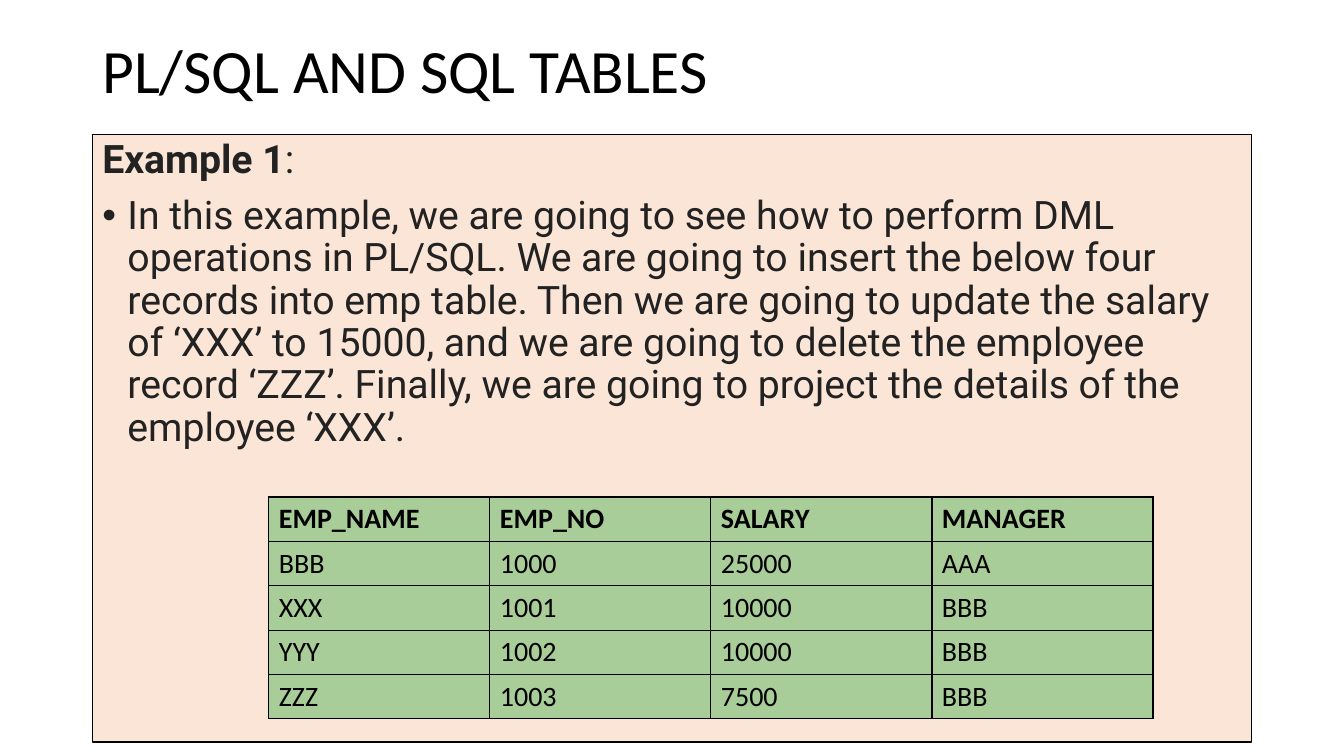
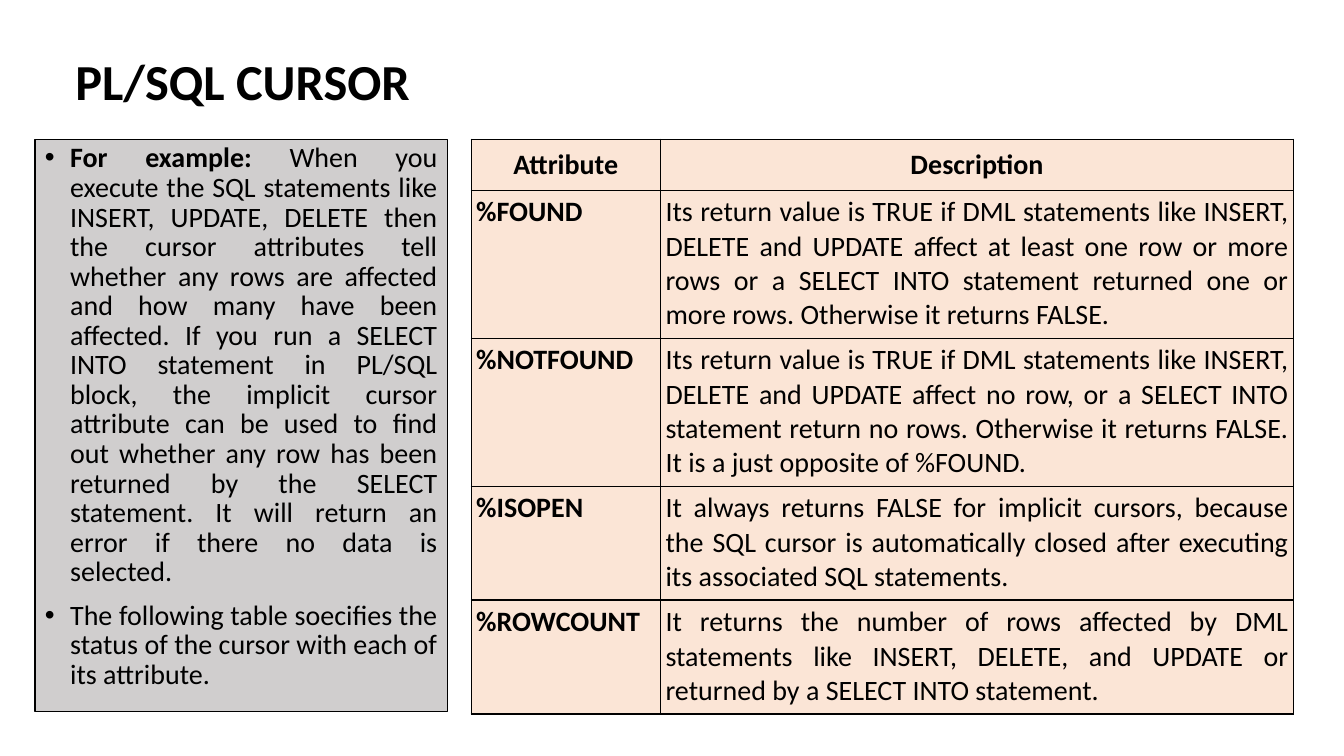
from dataclasses import dataclass

from lxml.etree import SubElement
from pptx import Presentation
from pptx.dml.color import RGBColor as RGB
from pptx.enum.shapes import MSO_SHAPE as SHAPE
from pptx.enum.text import MSO_ANCHOR as ANCHOR, PP_ALIGN as ALIGN
from pptx.oxml import parse_xml
from pptx.oxml.ns import nsdecls, qn
from pptx.util import Pt


@dataclass(frozen=True)
class Theme:
    ink: RGB = RGB(0, 0, 0)
    soft_ink: RGB = RGB(0x22, 0x22, 0x22)
    peach: RGB = RGB(0xFB, 0xE5, 0xD6)
    grey: RGB = RGB(0xD0, 0xCE, 0xCE)
    green: RGB = RGB(0xA9, 0xCD, 0x98)
    font: str = "Calibri"
    example_font: str = "Roboto"
    title: int = 44
    small_title: int = 36
    example: int = 28
    text: int = 20
    bullet_indent: int = 18
    space_before: int = 10
    line_spacing: float = 0.9


T = Theme()


def add_run(p, text, size, bold=False, font=T.font, color=T.ink):
    r = p.add_run()
    r.text = text
    r.font.size, r.font.bold, r.font.name = Pt(size), bold, font
    r.font.color.rgb = color


def add_bullet(p):
    pPr = p._p.get_or_add_pPr()
    pPr.set("marL", str(Pt(T.bullet_indent)))
    pPr.set("indent", str(-Pt(T.bullet_indent)))
    SubElement(pPr, qn("a:buFont")).set("typeface", "Arial")
    SubElement(pPr, qn("a:buChar")).set("char", "•")


def add_title(s, box, text, size, bold=False):
    tf = s.shapes.add_textbox(*map(Pt, box)).text_frame
    tf.word_wrap = True
    tf.vertical_anchor = ANCHOR.MIDDLE
    p = tf.paragraphs[0]
    p.line_spacing = T.line_spacing
    add_run(p, text, size, bold)


def add_panel(s, box, fill, paragraphs, align=ALIGN.LEFT,
              spacing=T.line_spacing, **style):
    """Outlined box; each paragraph is (bulleted, [(text, bold), ...])."""
    sp = s.shapes.add_shape(SHAPE.RECTANGLE, *map(Pt, box))
    sp.shadow.inherit = False
    sp.fill.solid()
    sp.fill.fore_color.rgb = fill
    sp.line.color.rgb = T.ink
    sp.line.width = Pt(0.75)
    tf = sp.text_frame
    tf.word_wrap = True
    tf.vertical_anchor = ANCHOR.TOP
    for i, (bulleted, runs) in enumerate(paragraphs):
        p = tf.add_paragraph() if i else tf.paragraphs[0]
        p.alignment = align
        p.line_spacing = spacing
        p.space_before = Pt(T.space_before)
        if bulleted:
            add_bullet(p)
        for text, bold in runs:
            add_run(p, text, bold=bold, **style)


def style_cell(cell, fill):
    cell.fill.solid()
    cell.fill.fore_color.rgb = fill
    tcPr = cell._tc.get_or_add_tcPr()
    for i, side in enumerate("LRTB"):
        tcPr.insert(i, parse_xml(
            f'<a:ln{side} {nsdecls("a")} w="{Pt(1)}"><a:solidFill>'
            f'<a:srgbClr val="{T.ink}"/></a:solidFill></a:ln{side}>'))


def add_grid(s, left, top, widths, heights, rows, fill, format_cell):
    """Bordered table; format_cell(cell, row, col) sets layout, returns bold."""
    table = s.shapes.add_table(
        len(rows), len(widths), Pt(left), Pt(top),
        Pt(sum(widths)), Pt(sum(heights))).table
    table.first_row = table.horz_banding = False
    for col, width in zip(table.columns, widths):
        col.width = Pt(width)
    for row, height in zip(table.rows, heights):
        row.height = Pt(height)
    for i, values in enumerate(rows):
        for j, text in enumerate(values):
            cell = table.cell(i, j)
            style_cell(cell, fill)
            bold = format_cell(cell, i, j)
            add_run(cell.text_frame.paragraphs[0], text, T.text, bold)


def format_employee(cell, row, col):
    cell.vertical_anchor = ANCHOR.MIDDLE
    return row == 0


def format_attribute(cell, row, col):
    inset = Pt(3.6 if row else 5.76)
    cell.margin_left = cell.margin_right = inset
    cell.margin_top = cell.margin_bottom = inset
    cell.text_frame.paragraphs[0].alignment = ALIGN.JUSTIFY if row else ALIGN.CENTER
    return row == 0 or col == 0


EXAMPLE = [
    (False, [("Example 1", True), (":", False)]),
    (True, [("In this example, we are going to see how to perform DML operations "
             "in PL/SQL. We are going to insert the below four records into emp "
             "table. Then we are going to update the salary of ‘XXX’ to 15000, and "
             "we are going to delete the employee record ‘ZZZ’. Finally, we are "
             "going to project the details of the employee ‘XXX’.", False)]),
]
EMPLOYEES = [
    ("EMP_NAME", "EMP_NO", "SALARY", "MANAGER"),
    ("BBB", "1000", "25000", "AAA"),
    ("XXX", "1001", "10000", "BBB"),
    ("YYY", "1002", "10000", "BBB"),
    ("ZZZ", "1003", "7500", "BBB"),
]
CURSOR = [
    (True, [("For example: ", True),
            ("When you execute the SQL statements like INSERT, UPDATE, DELETE then "
             "the cursor attributes tell whether any rows are affected and how many "
             "have been affected. If you run a SELECT INTO statement in PL/SQL "
             "block, the implicit cursor attribute can be used to find out whether "
             "any row has been returned by the SELECT statement. It will return an "
             "error if there no data is selected.", False)]),
    (True, [("The following table soecifies the status of the cursor with each of "
             "its attribute.", False)]),
]
ATTRIBUTES = [
    ("Attribute", "Description"),
    ("%FOUND", "Its return value is TRUE if DML statements like INSERT, DELETE and "
               "UPDATE affect at least one row or more rows or a SELECT INTO "
               "statement returned one or more rows. Otherwise it returns FALSE."),
    ("%NOTFOUND", "Its return value is TRUE if DML statements like INSERT, DELETE "
                  "and UPDATE affect no row, or a SELECT INTO statement return no "
                  "rows. Otherwise it returns FALSE. It is a just opposite of "
                  "%FOUND."),
    ("%ISOPEN", "It always returns FALSE for implicit cursors, because the SQL "
                "cursor is automatically closed after executing its associated SQL "
                "statements."),
    ("%ROWCOUNT", "It returns the number of rows affected by DML statements like "
                  "INSERT, DELETE, and UPDATE or returned by a SELECT INTO "
                  "statement."),
]


def tables_slide(s):
    left, top, width = 66, 96, 828
    add_title(s, (left, 0, width, 104.4), "PL/SQL AND SQL TABLES", T.title)
    add_panel(s, (left, top, width, 434), T.peach, EXAMPLE, size=T.example,
              font=T.example_font, color=T.soft_ink)
    add_grid(s, left + 126, top + 259, [157.9] * 4, [31.7] * 5, EMPLOYEES,
             T.green, format_employee)


def cursor_slide(s):
    left, top, width, gap = 25, 99.5, 294.5, 17
    add_title(s, (46.8, 36.7, 828, 47.5), "PL/SQL CURSOR", T.small_title, bold=True)
    # Slightly tighter lines keep the text inside the panel
    add_panel(s, (left, top, width, 409), T.grey, CURSOR, ALIGN.JUSTIFY, 0.88,
              size=T.text)
    add_grid(s, left + width + gap, top, [135.3, 452.2],
             [36.4, 105.7, 105.7, 81.4, 81.4], ATTRIBUTES, T.peach,
             format_attribute)


def main():
    prs = Presentation()
    prs.slide_width, prs.slide_height = Pt(960), Pt(540)
    for build in (tables_slide, cursor_slide):
        build(prs.slides.add_slide(prs.slide_layouts[6]))
    prs.save("out.pptx")


if __name__ == "__main__":
    main()
